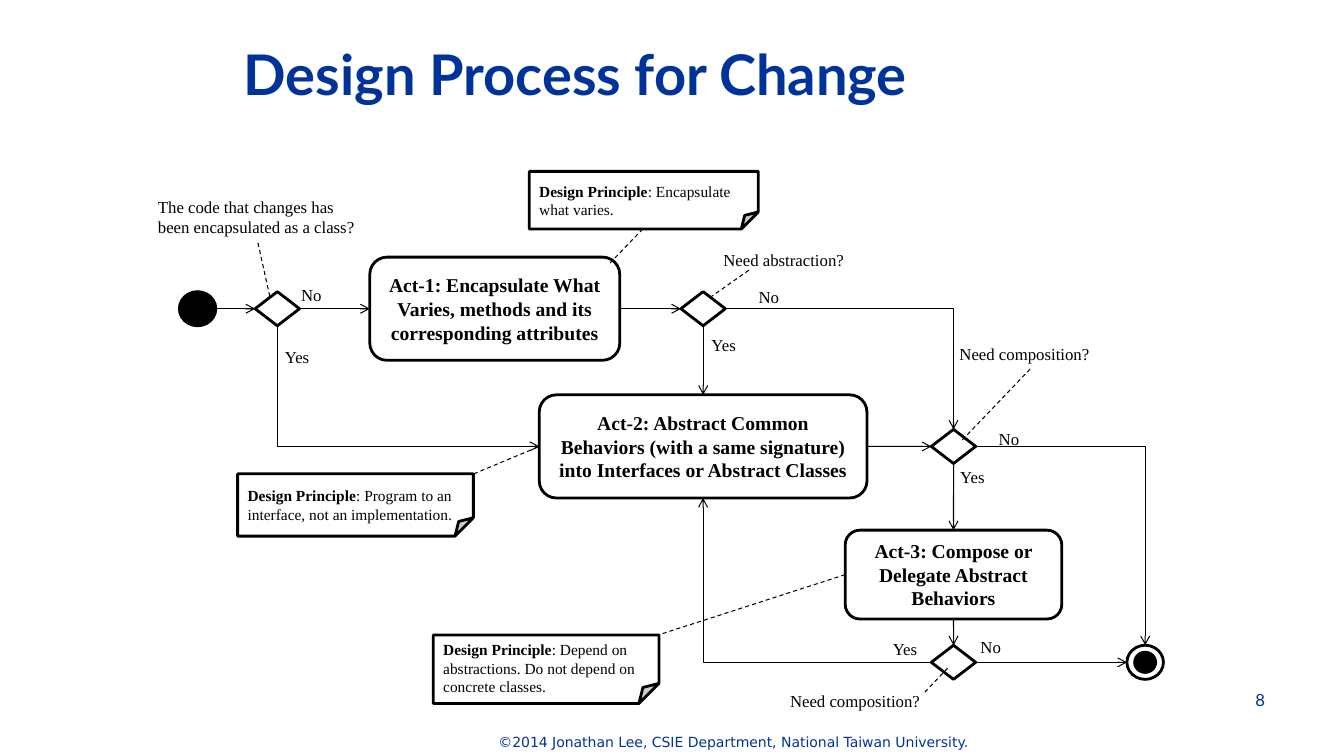
from lxml.etree import SubElement
from pptx import Presentation
from pptx.dml.color import RGBColor
from pptx.enum.dml import MSO_LINE
from pptx.enum.shapes import MSO_CONNECTOR, MSO_SHAPE
from pptx.enum.text import MSO_ANCHOR, PP_ALIGN
from pptx.oxml.ns import qn
from pptx.util import Cm, Pt

BLACK = RGBColor(0, 0, 0)
WHITE = RGBColor(255, 255, 255)
NAVY = RGBColor(0x00, 0x33, 0x99)
SERIF, SANS, PLAIN = "Times New Roman", "Lato", "DejaVu Sans"
LEFT, CENTER, RIGHT = PP_ALIGN.LEFT, PP_ALIGN.CENTER, PP_ALIGN.RIGHT
UPPER, MIDDLE = MSO_ANCHOR.TOP, MSO_ANCHOR.MIDDLE
ROUND, GATE = MSO_SHAPE.ROUNDED_RECTANGLE, MSO_SHAPE.FLOWCHART_DECISION
OVAL, FOLD = MSO_SHAPE.OVAL, MSO_SHAPE.FOLDED_CORNER
STRAIGHT, ELBOW, DASH = MSO_CONNECTOR.STRAIGHT, MSO_CONNECTOR.ELBOW, MSO_LINE.DASH
NORTH, WEST, SOUTH, EAST = range(4)

ROWS = (3.48, 6.95, 10.18, 12.39)
COLS = (1.28, 3.29, 8.77, 14.02, 20.33, 25.16)
GATE_SIZE = (1.12, 0.86)
DOT_SIZE = (0.92, 0.86)

ACTS = {
    "act1": (COLS[2], ROWS[0], 6.3, 2.6,
             "Act-1: Encapsulate What Varies, methods and its corresponding attributes"),
    "act2": (COLS[3], ROWS[1], 8.26, 2.6,
             "Act-2: Abstract Common Behaviors (with a same signature) "
             "into Interfaces or Abstract Classes"),
    "act3": (COLS[4], ROWS[2], 5.46, 2.24,
             "Act-3: Compose or Delegate Abstract Behaviors"),
}
GATES = {
    "gate1": (COLS[1], ROWS[0]),
    "gate2": (COLS[3], ROWS[0]),
    "gate3": (COLS[4], ROWS[1]),
    "gate4": (COLS[4], ROWS[3]),
}
FLOWS = [
    ("start", EAST, "gate1", WEST),
    ("gate1", EAST, "act1", WEST),
    ("gate1", SOUTH, "act2", WEST),
    ("act1", EAST, "gate2", WEST),
    ("gate2", EAST, "gate3", NORTH),
    ("gate2", SOUTH, "act2", NORTH),
    ("act2", EAST, "gate3", WEST),
    ("gate3", EAST, "end", NORTH),
    ("gate3", SOUTH, "act3", NORTH),
    ("act3", SOUTH, "gate4", NORTH),
    ("gate4", WEST, "act2", SOUTH),
    ("gate4", EAST, "end", WEST),
]
NOTES = [
    (9.64, 0.02, 5.77, 1.45, ": Encapsulate what varies."),
    (2.29, 7.64, 5.94, 1.57, ": Program to an interface, not an implementation."),
    (7.22, 11.7, 5.69, 1.73,
     ": Depend on abstractions. Do not depend on concrete classes."),
]
LINKS = [
    (12.5, 1.47, 11.67, 2.33),
    (8.24, 7.64, 9.89, 6.95),
    (17.6, 10.18, 12.89, 11.7),
    (2.8, 1.82, 3.11, 3.22),
    (22.26, 5, 20.51, 6.83),
    (15.17, 2.51, 14.23, 3.17),
    (20.18, 12.54, 19.57, 13.18),
]
LABELS = [
    (0.03, 0.53, 5.54, "The code that changes has been encapsulated as a class?"),
    (14.28, 1.87, 4.04, "Need abstraction?"),
    (20.23, 4.23, 4.04, "Need composition?"),
    (15.96, 12.97, 4.04, "Need composition?"),
    (3.64, 2.76, 1.27, "No"),
    (15.17, 2.81, 1.27, "No"),
    (21.22, 6.37, 1.27, "No"),
    (20.76, 11.63, 1.27, "No"),
    (3.23, 4.31, 1.27, "Yes"),
    (13.98, 4.01, 1.27, "Yes"),
    (20.25, 7.33, 1.27, "Yes"),
    (18.55, 11.68, 1.27, "Yes"),
]


def write(shape, text, lead="", size=12, font=SERIF, color=BLACK, bold=False,
          align=LEFT, anchor=UPPER):
    """Put text, with an optional bold lead, into a shape."""
    frame = shape.text_frame
    frame.word_wrap = True
    frame.vertical_anchor = anchor
    par = frame.paragraphs[0]
    par.alignment = align
    for words, heavy in ((lead, True), (text, bold)):
        if words:
            run = par.add_run()
            run.text = words
            run.font.size = Pt(size)
            run.font.name = font
            run.font.bold = heavy
            run.font.color.rgb = color


def label(slide, box, text, **style):
    """Add a text box."""
    write(slide.shapes.add_textbox(*map(Cm, box)), text, **style)


def block(slide, kind, box, fill=WHITE):
    """Add a shape with a black outline."""
    shape = slide.shapes.add_shape(kind, *map(Cm, box))
    shape.shadow.inherit = False
    shape.fill.solid()
    shape.fill.fore_color.rgb = fill
    shape.line.color.rgb = BLACK
    shape.line.width = Pt(2)
    return shape


def node(slide, kind, mid, size, fill=WHITE):
    """Add a shape centred on a point."""
    (x, y), (w, h) = mid, size
    return block(slide, kind, (x - w / 2, y - h / 2, w, h), fill)


def memo(slide, box, text):
    """Add a note with a folded corner."""
    shape = block(slide, FOLD, box)
    guides = shape.element.spPr.find(qn("a:prstGeom")).find(qn("a:avLst"))
    SubElement(guides, qn("a:gd"), name="adj", fmla="val 29400")
    shape.text_frame.margin_top = Cm(0.57)
    write(shape, text, lead="Design Principle", size=11, anchor=MIDDLE)


def wire(slide, start, stop, dash=False, bent=False, arrow=None):
    """Add a thin line, straight or bent once."""
    line = slide.shapes.add_connector(ELBOW if bent else STRAIGHT, *start, *stop)
    line.line.color.rgb = BLACK
    line.line.width = Pt(0.75)
    if dash:
        line.line.dash_style = DASH
    props = line.element.spPr
    if bent:
        props.find(qn("a:prstGeom")).set("prst", "bentConnector2")
    if arrow:
        SubElement(props.find(qn("a:ln")), qn(arrow)).set("type", "arrow")
    SubElement(props, qn("a:effectLst"))
    return line


def port(shape, side):
    """Give the middle of one side of a shape."""
    dx, dy = ((1, 0), (0, 1), (1, 2), (2, 1))[side]
    return shape.left + shape.width * dx // 2, shape.top + shape.height * dy // 2


def flow(slide, first, out, last, into):
    """Join two nodes with an arrow, bent when their sides are at right angles."""
    bent, arrow = (out + into) % 2 == 1, "a:tailEnd"
    if bent and out in (NORTH, SOUTH):
        first, out, last, into = last, into, first, out
        arrow = "a:headEnd"
    line = wire(slide, port(first, out), port(last, into), bent=bent, arrow=arrow)
    if first.auto_shape_type != OVAL:
        line.begin_connect(first, out)
    if last.auto_shape_type != OVAL:
        line.end_connect(last, into)


def chart(slide, box):
    """Draw the process diagram in its box."""
    left, top = box[:2]
    begin = (left + COLS[0], top + ROWS[0])
    finish = (left + COLS[5], top + ROWS[3])
    nodes = {"start": node(slide, OVAL, begin, DOT_SIZE, BLACK),
             "end": node(slide, OVAL, finish, DOT_SIZE)}
    node(slide, OVAL, finish, (0.53, 0.51), BLACK)
    for name, (x, y, w, h, text) in ACTS.items():
        nodes[name] = node(slide, ROUND, (left + x, top + y), (w, h))
        write(nodes[name], text, size=14, bold=True, align=CENTER, anchor=MIDDLE)
    for name, (x, y) in GATES.items():
        nodes[name] = node(slide, GATE, (left + x, top + y), GATE_SIZE)
    for first, out, last, into in FLOWS:
        flow(slide, nodes[first], out, nodes[last], into)
    for x, y, w, h, text in NOTES:
        memo(slide, (left + x, top + y, w, h), text)
    for x1, y1, x2, y2 in LINKS:
        wire(slide, (Cm(left + x1), Cm(top + y1)), (Cm(left + x2), Cm(top + y2)),
             dash=True)
    for x, y, w, text in LABELS:
        label(slide, (left + x, top + y, w, 0.76), text)


def head(slide, box):
    """Set the title in its box."""
    title = slide.shapes.title
    title.left, title.top, title.width, title.height = map(Cm, box)
    write(title, "Design Process for Change", size=40, font=SANS, color=NAVY,
          bold=True, anchor=MIDDLE)


def foot(slide, box):
    """Add the credit line and the page number."""
    left, top, width = box[:3]
    label(slide, (left, top + 1.09, 24.46, 0.69),
          "©2014 Jonathan Lee, CSIE Department, National Taiwan University.",
          size=10, font=PLAIN, color=NAVY, align=CENTER, anchor=MIDDLE)
    label(slide, (left + width - 7.06, top, 7.06, 1.27), "8",
          font=SANS, color=NAVY, align=RIGHT)


def main():
    """Build the slide and save it."""
    deck = Presentation()
    deck.slide_width, deck.slide_height = Cm(33.87), Cm(19.05)
    slide = deck.slides.add_slide(deck.slide_layouts[5])
    head(slide, (5.89, 0.71, 27.97, 2.29))
    chart(slide, (3.7, 4.3, 25.6, 13.5))
    foot(slide, (6.25, 17.25, 25.88, 1.78))
    deck.save("out.pptx")


if __name__ == "__main__":
    main()
